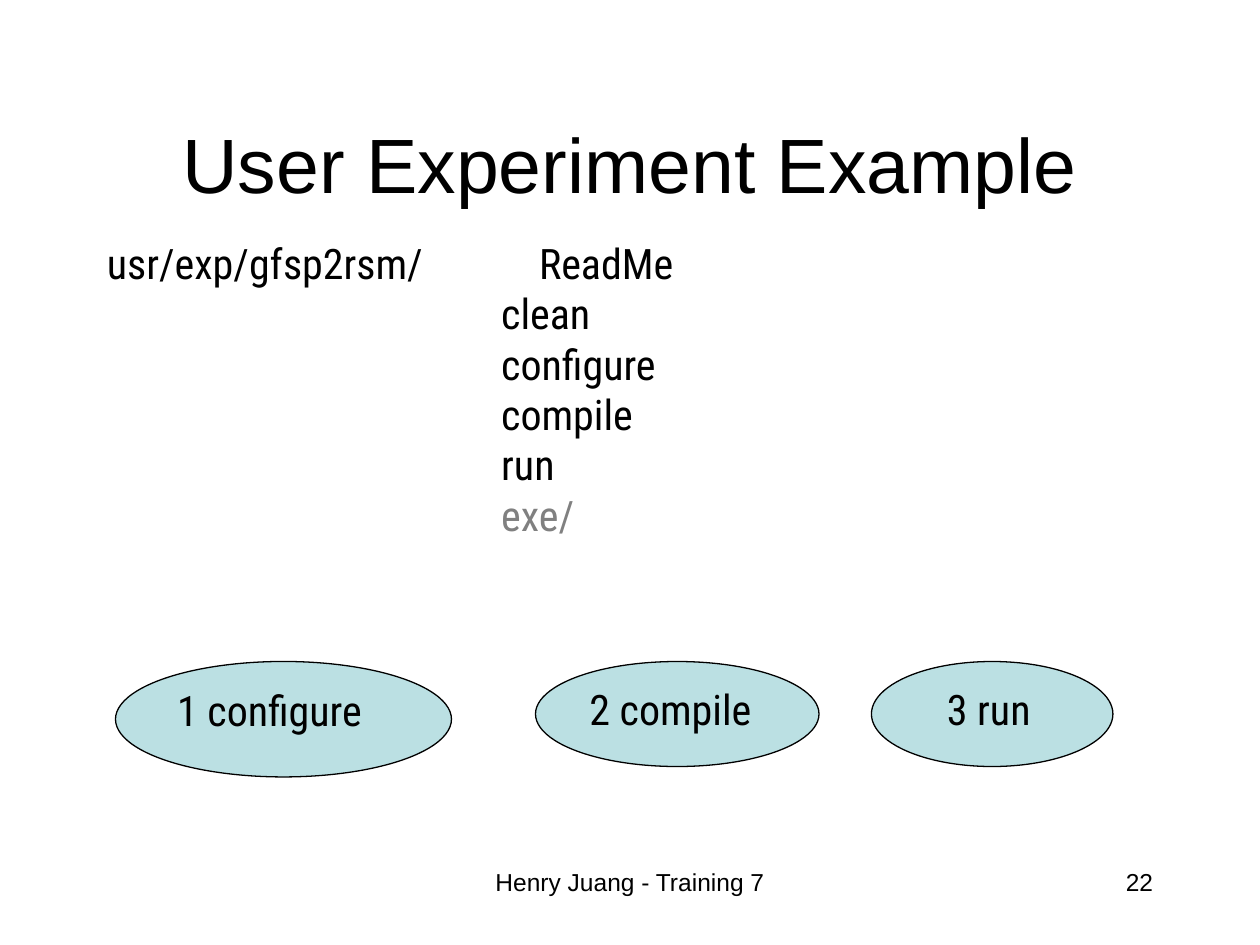
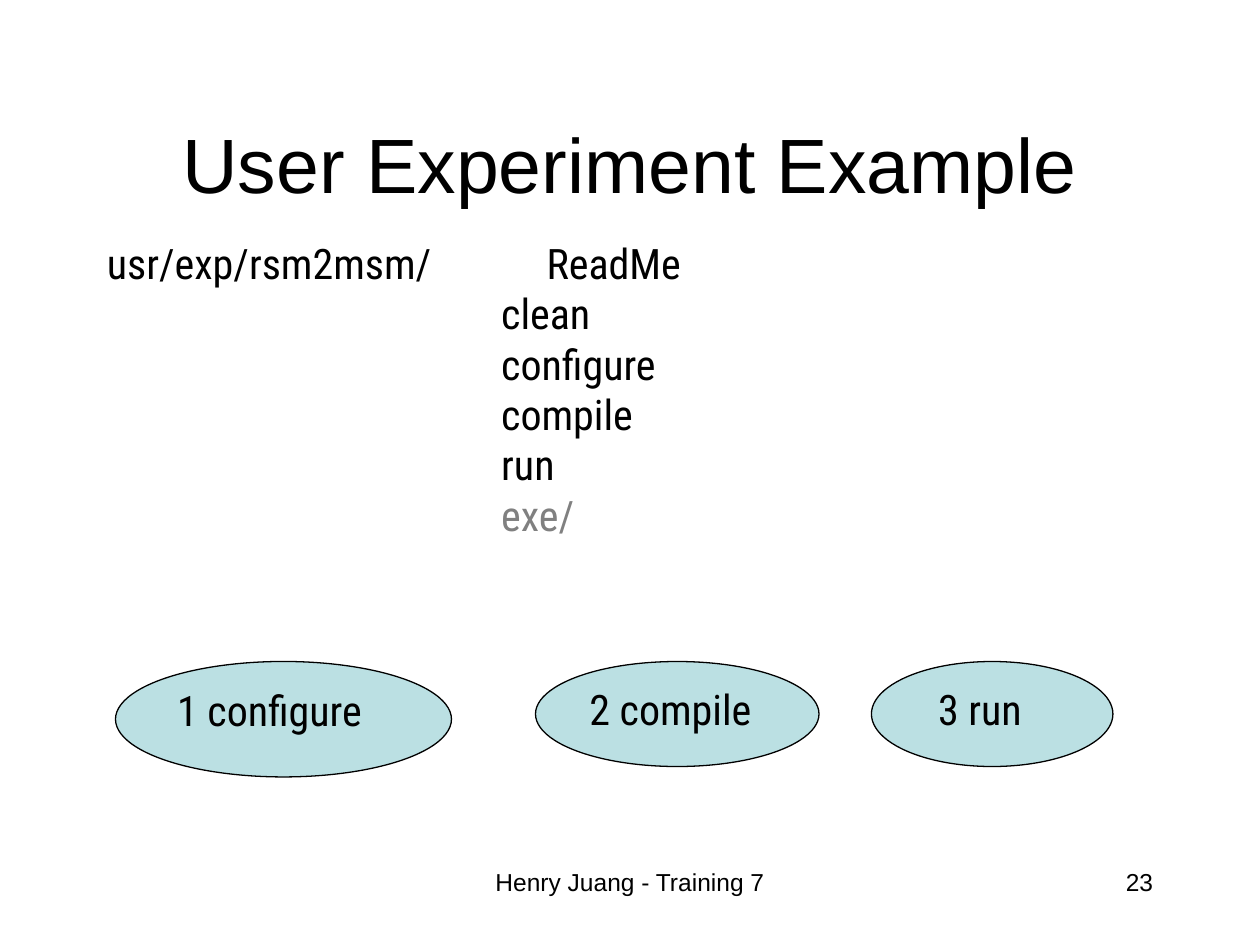
from pptx import Presentation, util as u
from pptx.dml.color import RGBColor
from pptx.enum import shapes, text
from pptx.oxml.ns import qn
from lxml import etree

# Shared look; positions are (column, row, columns, rows) on a 120 x 90 grid
COLORS = {"ink": "000000", "muted": "808080", "bubble": "BBE0E3", "paper": "FFFFFF"}
COLUMNS, ROWS = 120, 90
CELL = u.Inches(10) // COLUMNS
TITLE = {"name": "Arial", "size": u.Pt(44)}
FOOTER = {"name": "Arial", "size": u.Pt(14)}
BODY = {"name": "Roboto Condensed", "size": u.Pt(24)}
ALIGN = text.PP_ALIGN

# Contents of the two slides: folder, tab of its first file, indent of last step
EXPERIMENTS = [("usr/exp/gfsp2rsm/", 3.43, 0.22), ("usr/exp/rsm2msm/", 3.49, 0.15)]
FIRST_PAGE = 22
FILES = ["clean", "configure", "compile", "run", "exe/"]
FILE_INDENT = 3.13
STEPS = [("1 configure", (11, 63, 32, 11)),
         ("2 compile", (51, 63, 27, 10)),
         ("3 run", (83, 63, 23, 10))]


def color(name):
    return RGBColor.from_string(COLORS[name])


def place(cells):
    return [u.Emu(int(cell * CELL)) for cell in cells]


def write(para, words, style, ink="ink", align=ALIGN.LEFT, indent=0):
    """Fill one paragraph; indent is in inches."""
    para.alignment = align
    if indent:
        para._p.get_or_add_pPr().set("marL", str(u.Inches(indent)))
    span = para.add_run()
    span.text = words
    for key, value in style.items():
        setattr(span.font, key, value)
    span.font.color.rgb = color(ink)


def add_tab(para, inches):
    stops = etree.SubElement(para._p.get_or_add_pPr(), qn("a:tabLst"))
    etree.SubElement(stops, qn("a:tab"), pos=str(u.Inches(inches)), algn="l")


def add_box(page, cells, anchor=text.MSO_ANCHOR.TOP):
    frame = page.shapes.add_textbox(*place(cells)).text_frame
    frame.word_wrap = True
    frame.vertical_anchor = anchor
    return frame


def add_label(page, cells, words, style, align, **options):
    write(add_box(page, cells, **options).paragraphs[0], words, style, align=align)


def add_listing(page, folder, tab):
    frame = add_box(page, (9, 22, 59.5, 30.25))
    first = frame.paragraphs[0]
    write(first, folder + "\tReadMe", BODY)
    add_tab(first, tab)
    for name in FILES:
        ink = "muted" if name.endswith("/") else "ink"
        write(frame.add_paragraph(), name, BODY, ink, indent=FILE_INDENT)


def add_step(page, words, cells, indent):
    bubble = page.shapes.add_shape(shapes.MSO_SHAPE.OVAL, *place(cells))
    bubble.shadow.inherit = False
    bubble.fill.solid()
    bubble.fill.fore_color.rgb = color("bubble")
    bubble.line.color.rgb = color("ink")
    bubble.line.width = u.Pt(0.75)
    bubble.text_frame.word_wrap = True
    bubble.text_frame.vertical_anchor = text.MSO_ANCHOR.TOP
    write(bubble.text_frame.paragraphs[0], words, BODY, indent=indent)


def add_page(deck, number):
    """Blank page with the shared title and footer."""
    page = deck.slides.add_slide(deck.slide_layouts[6])
    page.background.fill.solid()
    page.background.fill.fore_color.rgb = color("paper")
    add_label(page, (9, 8, 102, 15), "User Experiment Example", TITLE,
              ALIGN.CENTER, anchor=text.MSO_ANCHOR.MIDDLE)
    add_label(page, (41, 82, 38, 6), "Henry Juang - Training 7", FOOTER, ALIGN.CENTER)
    add_label(page, (86, 82, 25, 6), str(number), FOOTER, ALIGN.RIGHT)
    return page


def main():
    deck = Presentation()
    deck.slide_width, deck.slide_height = place((COLUMNS, ROWS))
    for number, (folder, tab, last_indent) in enumerate(EXPERIMENTS, FIRST_PAGE):
        page = add_page(deck, number)
        add_listing(page, folder, tab)
        for (words, cells), indent in zip(STEPS, (0, 0, last_indent)):
            add_step(page, words, cells, indent)
    deck.save("out.pptx")


main()
